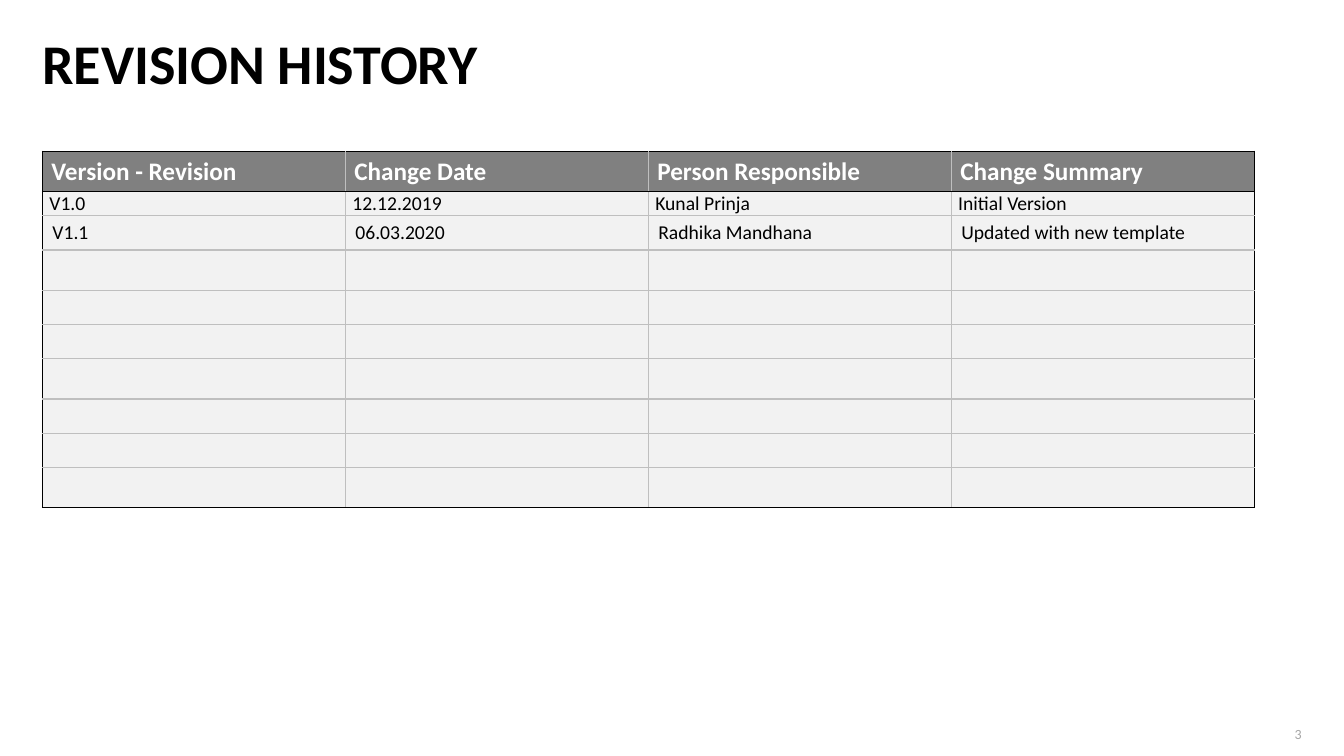
from lxml.etree import SubElement
from pptx import Presentation
from pptx.dml.color import RGBColor
from pptx.enum.text import MSO_ANCHOR, PP_ALIGN
from pptx.oxml.ns import qn
from pptx.util import Inches, Pt

FONT = "Calibri"
BLACK, WHITE, GREY = "000000", "FFFFFF", "BFBFBF"
HEAD = ["Version - Revision", "Change Date", "Person Responsible", "Change Summary"]
LOG = [
    ["V1.0", "12.12.2019", "Kunal Prinja", "Initial Version"],
    ["V1.1", "06.03.2020", "Radhika Mandhana", "Updated with new template"],
]
TALL, LOW = 0.4, 0.34
HEIGHTS = [TALL, 0.24, LOW] + [TALL, LOW, LOW] * 2 + [TALL]


def color(code):
    return RGBColor.from_string(code)


def write(frame, text, size=14, ink=BLACK, bold=False, align=PP_ALIGN.LEFT, line=None):
    frame.word_wrap = True
    para = frame.paragraphs[0]
    para.alignment = align
    para.line_spacing = line
    if not text:
        SubElement(para._p, qn("a:endParaRPr"), sz=str(size * 100))
        return
    run = para.add_run()
    run.text = text
    font = run.font
    font.name, font.size, font.bold = FONT, Pt(size), bold
    font.color.rgb = color(ink)


def inset(item, left, top, right, bottom):
    """Set the inner margins of a cell or text frame."""
    item.margin_left, item.margin_top = Inches(left), Inches(top)
    item.margin_right, item.margin_bottom = Inches(right), Inches(bottom)


def add_text(slide, box, text, top=0, anchor=MSO_ANCHOR.TOP, **style):
    frame = slide.shapes.add_textbox(*map(Inches, box)).text_frame
    inset(frame, 0, top, 0, 0)
    frame.vertical_anchor = anchor
    write(frame, text, **style)


def border(cell, edges):
    """Draw one line per side; edges maps L, R, T, B to a colour."""
    props = cell._tc.get_or_add_tcPr()
    for side, ink in edges.items():
        line = SubElement(props, qn(f"a:ln{side}"), w=str(Pt(1)))
        fill = SubElement(line, qn("a:solidFill"))
        SubElement(fill, qn("a:srgbClr"), val=ink)


def add_log(slide, box):
    """Place the revision table, with a black frame and a grey inner grid."""
    rows, cols = len(HEIGHTS), len(HEAD)
    table = slide.shapes.add_table(rows, cols, *map(Inches, box)).table
    for col in table.columns:
        col.width = Inches(box[2] / cols)
    for row, height in zip(table.rows, HEIGHTS):
        row.height = Inches(height)

    texts = [HEAD] + LOG + [[""] * cols] * (rows - 1 - len(LOG))
    for r, line in enumerate(texts):
        for c, text in enumerate(line):
            cell = table.cell(r, c)
            border(cell, {
                "L": BLACK if c == 0 else GREY,
                "R": BLACK if c == cols - 1 else GREY,
                "T": BLACK if r < 2 else GREY,
                "B": BLACK if r in (0, rows - 1) else GREY,
            })
            cell.fill.solid()
            cell.fill.fore_color.rgb = color("F2F2F2" if r else "808080")
            cell.vertical_anchor = MSO_ANCHOR.TOP if r == 1 else MSO_ANCHOR.MIDDLE
            if r == 0:
                inset(cell, 0.09, 0, 0.09, 0)
                write(cell.text_frame, text, size=18, ink=WHITE, bold=True)
            else:
                if r == 1:
                    inset(cell, 0.07, 0, 0.07, 0)
                write(cell.text_frame, text)


def main():
    deck = Presentation()
    deck.slide_width, deck.slide_height = Inches(13.33), Inches(7.5)
    slide = deck.slides.add_slide(deck.slide_layouts[6])
    add_text(slide, (0.42, 0.42, 12.5, 1.08), "REVISION HISTORY", top=0.05,
             size=40, bold=True, line=0.7)
    add_log(slide, (0.42, 1.5, 12.02, sum(HEIGHTS)))
    add_text(slide, (12.58, 7.13, 0.33, 0.23), "3", anchor=MSO_ANCHOR.BOTTOM,
             size=10, ink="A6A6A6", align=PP_ALIGN.RIGHT)
    deck.save("out.pptx")


if __name__ == "__main__":
    main()
